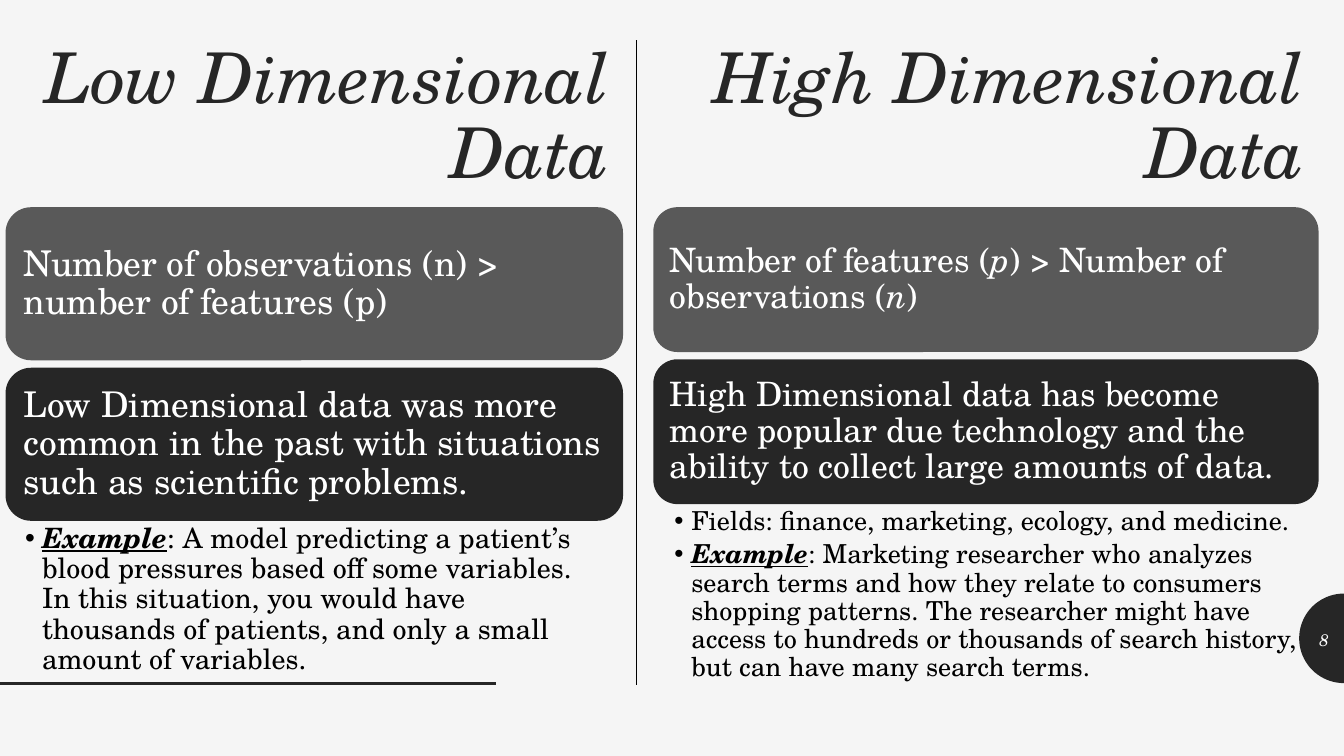
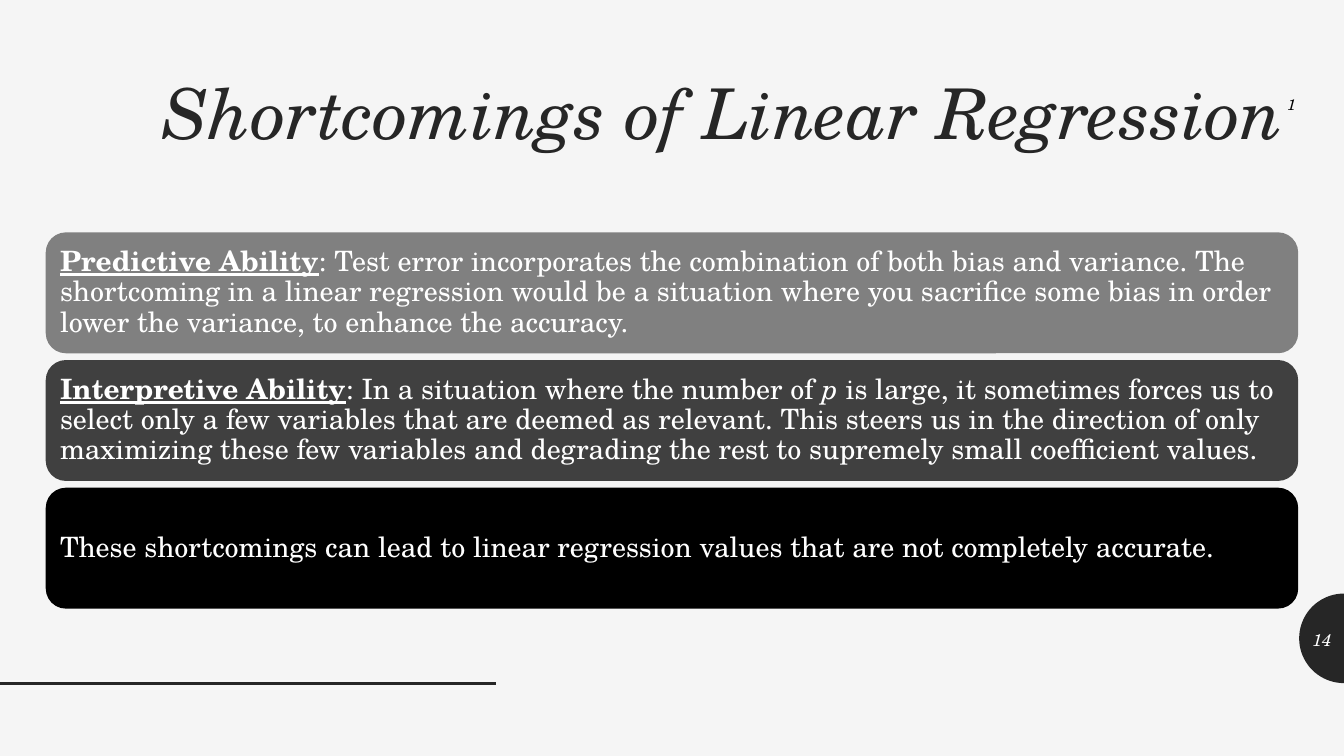
from math import cos, pi, sin

from lxml.etree import SubElement
from pptx import Presentation
from pptx.dml.color import RGBColor
from pptx.enum.shapes import MSO_CONNECTOR, MSO_SHAPE
from pptx.enum.text import MSO_ANCHOR, MSO_AUTO_SIZE, PP_ALIGN
from pptx.oxml.ns import qn
from pptx.util import Pt

FONT = "TeX Gyre Schola"
PAPER = RGBColor(0xF5, 0xF5, 0xF5)
INK = RGBColor(0x26, 0x26, 0x26)
BLACK = RGBColor(0x00, 0x00, 0x00)
WHITE = RGBColor(0xFF, 0xFF, 0xFF)
SLATE = RGBColor(0x59, 0x59, 0x59)
GRAY = RGBColor(0x80, 0x80, 0x80)
CHARCOAL = RGBColor(0x40, 0x40, 0x40)

WIDTH, HEIGHT = 720, 405
BADGE_Y, BADGE_RADIUS = 342, 24
TWO_CONTENT, TITLE_ONLY = 3, 5


def place(sp, left, top, width, height):
    sp.left, sp.top, sp.width, sp.height = Pt(left), Pt(top), Pt(width), Pt(height)


def set_insets(tf, left, top, right, bottom):
    tf.margin_left, tf.margin_top = Pt(left), Pt(top)
    tf.margin_right, tf.margin_bottom = Pt(right), Pt(bottom)


def write(p, runs, size, color, align=PP_ALIGN.LEFT, spacing=0.9):
    p.alignment = align
    p.line_spacing = spacing
    p.space_before = Pt(0)
    for text, style in runs:
        r = p.add_run()
        r.text = text
        r.font.name = FONT
        r.font.size = Pt(size)
        r.font.color.rgb = color
        r.font.bold = "b" in style
        r.font.italic = "i" in style
        r.font.underline = "u" in style


def add_title(sp, text, left, top, width):
    place(sp, left, top, width, 45.4)
    tf = sp.text_frame
    tf.word_wrap = True
    tf.auto_size = MSO_AUTO_SIZE.NONE
    tf.vertical_anchor = MSO_ANCHOR.TOP
    set_insets(tf, 7.2, 7.2, 7.2, 7.2)
    write(tf.paragraphs[0], [(text, "i")], 37.5, INK, PP_ALIGN.RIGHT)


def add_cards(s, cards, left, top, width, height, pitch, size, inset):
    for i, (color, runs) in enumerate(cards):
        sp = s.shapes.add_shape(MSO_SHAPE.ROUNDED_RECTANGLE, Pt(left),
                                Pt(top + i * pitch), Pt(width), Pt(height))
        sp.shadow.inherit = False
        sp.fill.solid()
        sp.fill.fore_color.rgb = color
        sp.line.fill.background()
        tf = sp.text_frame
        tf.word_wrap = True
        tf.vertical_anchor = MSO_ANCHOR.MIDDLE
        set_insets(tf, inset, inset, inset, inset)
        write(tf.paragraphs[0], runs, size, WHITE)


def fill_list(sp, items, left, top, width, height, size, inset):
    place(sp, left, top, width, height)
    tf = sp.text_frame
    tf.word_wrap = True
    tf.auto_size = MSO_AUTO_SIZE.NONE
    set_insets(tf, inset, 2, 10, 2)
    for i, runs in enumerate(items):
        p = tf.add_paragraph() if i else tf.paragraphs[0]
        pPr = p._p.get_or_add_pPr()
        pPr.set("marL", str(Pt(9)))
        pPr.set("indent", str(-Pt(9)))
        write(p, runs, size, BLACK)
        p.space_after = Pt(size * 0.2)


def add_note(s, text, left, top, width, height, size, color, wrap):
    sp = s.shapes.add_textbox(Pt(left), Pt(top), Pt(width), Pt(height))
    tf = sp.text_frame
    tf.word_wrap = wrap
    tf.auto_size = MSO_AUTO_SIZE.SHAPE_TO_FIT_TEXT
    write(tf.paragraphs[0], [(text, "i")], size, color, spacing=1.0)
    return tf.paragraphs[0].runs[0]


def add_line(s, x1, y1, x2, y2, color, weight):
    line = s.shapes.add_connector(MSO_CONNECTOR.STRAIGHT, Pt(x1), Pt(y1), Pt(x2), Pt(y2))
    line.line.color.rgb = color
    line.line.width = Pt(weight)
    SubElement(line._element.spPr, qn("a:effectLst"))


def add_frame(s, number, number_left, number_width):
    steps = 40
    arc = [(Pt(WIDTH - BADGE_RADIUS * sin(pi * i / steps)),
            Pt(BADGE_Y - BADGE_RADIUS * cos(pi * i / steps))) for i in range(steps + 1)]
    builder = s.shapes.build_freeform(*arc[0])
    builder.add_line_segments(arc[1:], close=True)
    badge = builder.convert_to_shape()
    badge.shadow.inherit = False
    badge.fill.solid()
    badge.fill.fore_color.rgb = INK
    badge.line.fill.background()
    add_line(s, 0, 366.2, 265.7, 366.2, INK, 2)
    add_note(s, number, number_left, 333.8, number_width, 18, 9, WHITE, False)


def build_comparison(prs):
    s = prs.slides.add_slide(prs.slide_layouts[TWO_CONTENT])
    add_title(s.shapes.title, "Low Dimensional Data", -3.6, 15.8, 337.7)
    add_title(s.shapes.add_textbox(0, 0, 0, 0), "High Dimensional Data", 368.6, 15.8, 337.7)
    add_cards(s, [
        (SLATE, [("Number of observations (n) > number of features (p)", "")]),
        (INK, [("Low Dimensional data was more common in the past with situations "
                "such as scientific problems.", "")]),
    ], 3, 111, 330.8, 82, 86, 19, 5.7)
    add_cards(s, [
        (SLATE, [("Number of features (", ""), ("p", "i"),
                 (") > Number of observations (", ""), ("n", "i"), (")", "")]),
        (INK, [("High Dimensional data has become more popular due technology and "
                "the ability to collect large amounts of data.", "")]),
    ], 350, 111, 356.4, 77.6, 81.5, 18, 5)
    low_list, high_list = s.placeholders[1], s.placeholders[2]
    fill_list(low_list, [
        [("Example", "biu"),
         (": A model predicting a patient’s blood pressures based off some variables. "
          "In this situation, you would have thousands of patients, and only a small "
          "amount of variables.", "")],
    ], 3, 278.8, 330.8, 85, 15, 10.5)
    fill_list(high_list, [
        [("Fields: finance, marketing, ecology, and medicine.", "")],
        [("Example", "biu"),
         (": Marketing researcher who analyzes search terms and how they relate to "
          "consumers shopping patterns. The researcher might have access to hundreds or "
          "thousands of search history, but can have many search terms.", "")],
    ], 350, 270, 356.4, 100, 14, 11.3)
    add_frame(s, "8", 699.8, 20)
    add_line(s, 340.9, 21.6, 340.9, 367.2, BLACK, 0.5)


def build_shortcomings(prs):
    s = prs.slides.add_slide(prs.slide_layouts[TITLE_ONLY])
    add_title(s.shapes.title, "Shortcomings of Linear Regression", 24.5, 35.3, 671)
    add_cards(s, [
        (GRAY, [("Predictive Ability", "bu"),
                (": Test error incorporates the combination of both bias and variance. "
                 "The shortcoming in a linear regression would be a situation where you "
                 "sacrifice some bias in order lower the variance, to enhance the "
                 "accuracy.", "")]),
        (CHARCOAL, [("Interpretive Ability", "bu"),
                    (": In a situation where the number of ", ""), ("p", "i"),
                    (" is large, it sometimes forces us to select only a few variables "
                     "that are deemed as relevant. This steers us in the direction of only "
                     "maximizing these few variables and degrading the rest to supremely "
                     "small coefficient values.", "")]),
        (BLACK, [("These shortcomings can lead to linear regression values that are not "
                  "completely accurate.", "")]),
    ], 24.5, 124.5, 671, 64.8, 68.4, 15, 4.5)
    add_frame(s, "14", 696.2, 25)
    mark = add_note(s, "1", 682.6, 46, 23, 18.7, 14, BLACK, True)
    mark._r.get_or_add_rPr().set("baseline", "30000")


def main():
    prs = Presentation()
    prs.slide_width, prs.slide_height = Pt(WIDTH), Pt(HEIGHT)
    fill = prs.slide_master.background.fill
    fill.solid()
    fill.fore_color.rgb = PAPER
    build_comparison(prs)
    build_shortcomings(prs)
    prs.save("out.pptx")


if __name__ == "__main__":
    main()
